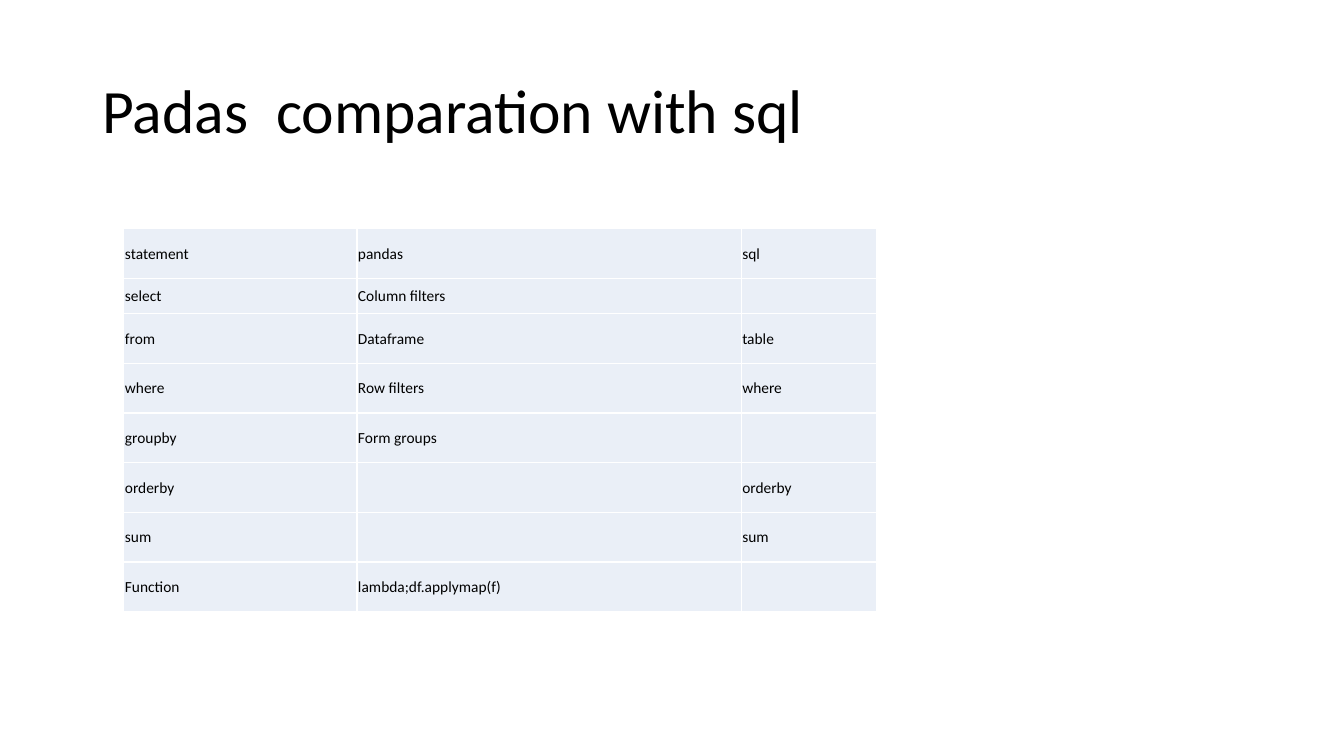
from lxml import etree
from pptx import Presentation
from pptx.dml.color import RGBColor
from pptx.enum.text import MSO_ANCHOR
from pptx.oxml.ns import qn
from pptx.util import Emu, Pt

PX = 914400 // 144
MIDDLE = MSO_ANCHOR.MIDDLE
BLACK = RGBColor(0x00, 0x00, 0x00)
WHITE = RGBColor(0xFF, 0xFF, 0xFF)
PALE_BLUE = RGBColor(0xEA, 0xEF, 0xF7)
FONT = "Calibri"

ROWS = [
    ("statement", "pandas", "sql"),
    ("select", "Column filters", ""),
    ("from", "Dataframe", "table"),
    ("where", "Row filters", "where"),
    ("groupby", "Form groups", ""),
    ("orderby", "", "orderby"),
    ("sum", "", "sum"),
    ("Function", "lambda;df.applymap(f)", ""),
]
COL_WIDTHS = [333, 549, 194]
ROW_HEIGHT, SELECT_HEIGHT = 71, 50
ROW_HEIGHTS = [SELECT_HEIGHT if row[0] == "select" else ROW_HEIGHT for row in ROWS]


def px(*lengths):
    return [Emu(length * PX) for length in lengths]


def write(p, text, size):
    p.text = text
    p.font.name = FONT
    p.font.size = Pt(size)
    p.font.color.rgb = BLACK


prs = Presentation()
prs.slide_width, prs.slide_height = px(1920, 1080)
s = prs.slides.add_slide(prs.slide_layouts[6])
s.background.fill.solid()
s.background.fill.fore_color.rgb = WHITE

# Title
tf = s.shapes.add_textbox(*px(132, 58, 1656, 209)).text_frame
tf.word_wrap = True
tf.vertical_anchor = MIDDLE
write(tf.paragraphs[0], "Padas  comparation with sql", 44)
tf.paragraphs[0].line_spacing = 0.9

# Comparison table
table = s.shapes.add_table(
    len(ROWS), len(COL_WIDTHS),
    *px(177, 327, sum(COL_WIDTHS), sum(ROW_HEIGHTS))).table
for column, width in zip(table.columns, px(*COL_WIDTHS)):
    column.width = width
for row, height in zip(table.rows, px(*ROW_HEIGHTS)):
    row.height = height

for row, texts in zip(table.rows, ROWS):
    for cell, text in zip(row.cells, texts):
        write(cell.text_frame.paragraphs[0], text, 11)
        cell.vertical_anchor = MIDDLE
        cell.margin_left = cell.margin_right = cell.margin_top = Pt(0.75)
        cell.margin_bottom = 0
        tcPr = cell._tc.get_or_add_tcPr()
        for side in ("a:lnL", "a:lnR", "a:lnT", "a:lnB"):
            ln = etree.SubElement(tcPr, qn(side), w=str(Pt(1)))
            line_fill = etree.SubElement(ln, qn("a:solidFill"))
            etree.SubElement(line_fill, qn("a:srgbClr"), val=str(WHITE))
        cell.fill.solid()
        cell.fill.fore_color.rgb = PALE_BLUE

prs.save("out.pptx")
